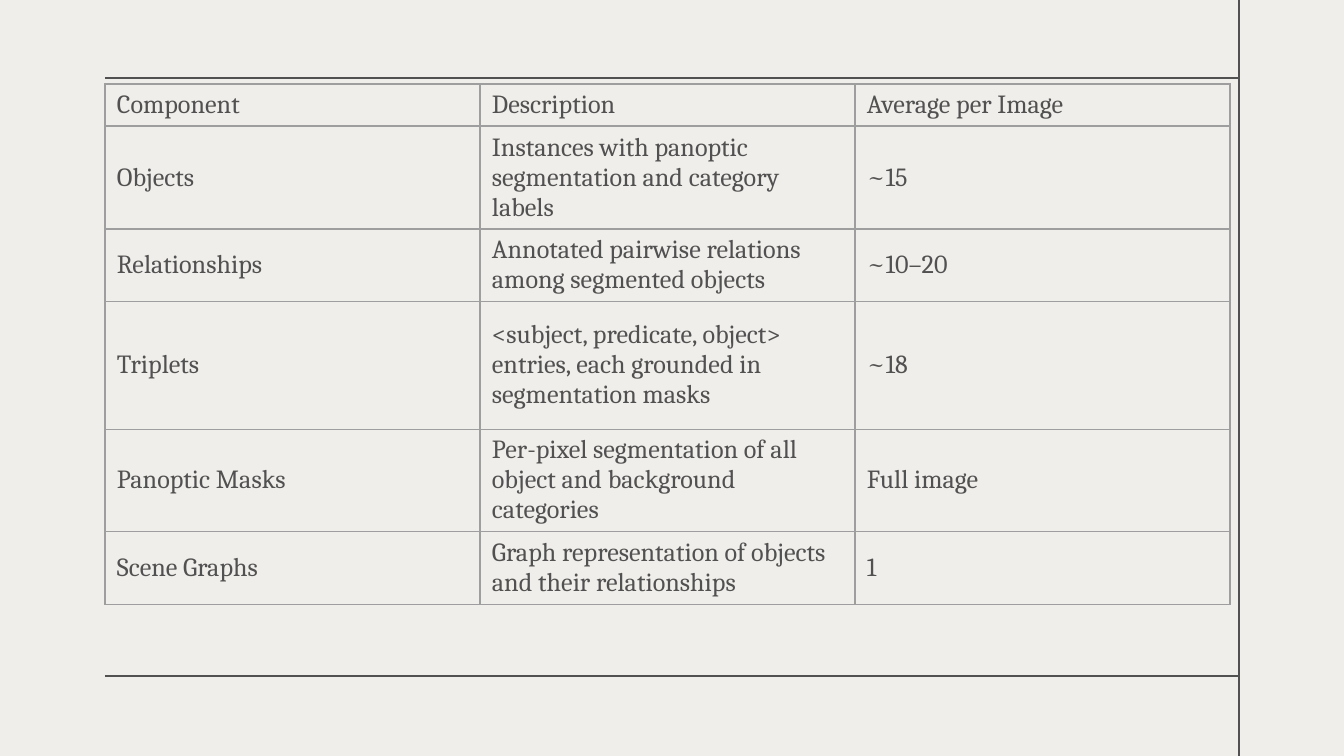
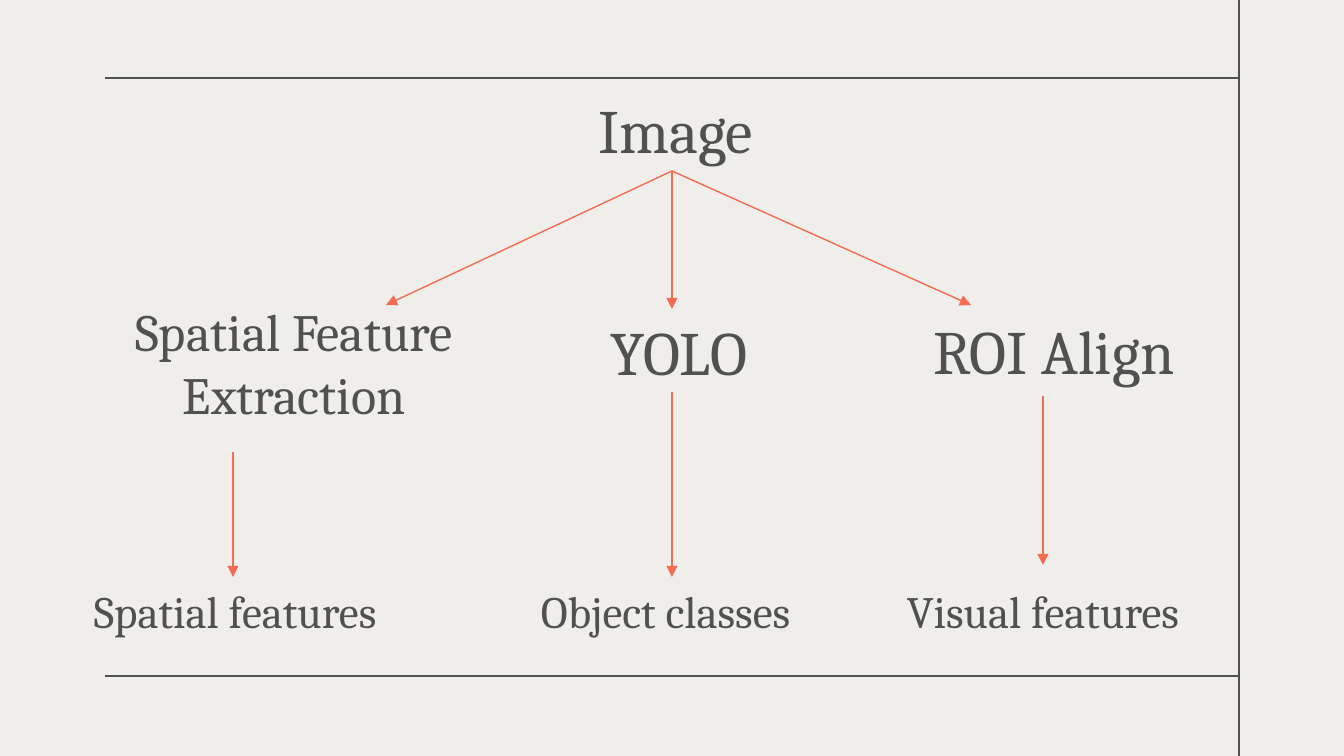
import pptx
import pptx.util
import pptx.dml.color
import pptx.enum.shapes
import pptx.enum.text
import pptx.oxml
import pptx.oxml.ns

PX = 6803.57  # EMU in one px
HUES = {"paper": "F0EEEA", "ink": "525151", "coral": "F46B52", "grid": "9E9E9E"}
FONT = "Cambria"
NS = pptx.oxml.ns.nsdecls("a")
MID = pptx.enum.text.MSO_ANCHOR.MIDDLE


def draw(slide, ends, hue, head=False):
    """Add a thin straight line, with an arrowhead at its end if asked."""
    line = slide.shapes.add_connector(
        pptx.enum.shapes.MSO_CONNECTOR.STRAIGHT, *[round(v * PX) for v in ends])
    line.line.width = pptx.util.Pt(0.75)
    line.line.color.rgb = pptx.dml.color.RGBColor.from_string(HUES[hue])
    if head:
        line.line._get_or_add_ln().append(
            pptx.oxml.parse_xml(f'<a:tailEnd {NS} type="triangle"/>'))
    line._element.spPr.append(pptx.oxml.parse_xml(f"<a:effectLst {NS}/>"))
    return line


def write(para, text, size):
    """Put text in a paragraph in the shared style."""
    para.text = text
    look = {"name": FONT, "size": pptx.util.Pt(size), "bold": False}
    for key, val in look.items():
        setattr(para.font, key, val)
    para.font.color.rgb = pptx.dml.color.RGBColor.from_string(HUES["ink"])


deck = pptx.Presentation()
deck.slide_width, deck.slide_height = round(1344 * PX), round(756 * PX)

# Shared background and frame lines
frame = [(105, 78, 1239, 78), (1239, -1, 1239, 757), (105, 676, 1239, 676)]
for _ in range(2):
    slide = deck.slides.add_slide(deck.slide_layouts[6])
    slide.background.fill.solid()
    slide.background.fill.fore_color.rgb = pptx.dml.color.RGBColor.from_string(HUES["paper"])
    for ends in frame:
        draw(slide, ends, "ink")
parts, flow = deck.slides

# Slide 1: table of dataset parts
rows = [
    (42, "Component", "Description", "Average per Image"),
    (103, "Objects", "Instances with panoptic segmentation and category labels", "~15"),
    (72, "Relationships", "Annotated pairwise relations among segmented objects", "~10–20"),
    (128, "Triplets",
     "<subject, predicate, object> entries, each grounded in segmentation masks", "~18"),
    (102, "Panoptic Masks",
     "Per-pixel segmentation of all object and background categories", "Full image"),
    (73, "Scene Graphs", "Graph representation of objects and their relationships", "1"),
]
high = sum(row[0] for row in rows)
table = parts.shapes.add_table(
    len(rows), 3, *[round(v * PX) for v in (105, 84, 1125, high)]).table
table.first_row = table.horz_banding = False
for col in table.columns:
    col.width = round(375 * PX)
pads = {"margin_left": 12, "margin_right": 12, "margin_top": 6, "margin_bottom": 6}
for r, (tall, *words) in enumerate(rows):
    table.rows[r].height = round(tall * PX)
    for c, text in enumerate(words):
        cell = table.cell(r, c)
        write(cell.text_frame.paragraphs[0], text, 14)
        cell.vertical_anchor = MID
        for key, val in pads.items():
            setattr(cell, key, round(val * PX))
        props = cell._tc.get_or_add_tcPr()
        for side in ("lnL", "lnR", "lnT", "lnB"):
            props.append(pptx.oxml.parse_xml(
                f'<a:{side} {NS} w="9525"><a:solidFill><a:srgbClr val="{HUES["grid"]}"/>'
                f"</a:solidFill></a:{side}>"))
        cell.fill.background()

# Slide 2: labels as text, size, text start, middle, top, height
PAD = 30
labels = [
    ("Image", 33, 598, 672, 86, 85),
    ("YOLO", 33, 611, 672, 309, 83),
    ("ROI Align", 33, 934, 1043, 303, 93),
    ("Spatial Feature\nExtraction", 28, 72, 294, 292, 140),
    ("Spatial features", 24, 94, 233, 577, 67),
    ("Object classes", 24, 541, 672, 577, 67),
    ("Visual features", 24, 907, 1043, 565, 90),
]
boxes = {}
for text, size, start, mid, top, tall in labels:
    left = start - PAD
    box = flow.shapes.add_textbox(
        *[round(v * PX) for v in (left, top, 2 * (mid - left), tall)])
    body = box.text_frame
    look = {"word_wrap": True, "vertical_anchor": MID, "margin_left": round(PAD * PX),
            "margin_right": 0, "margin_top": 0, "margin_bottom": 0}
    if "\n" in text:
        look["margin_right"] = look["margin_left"]
        body.paragraphs[0].alignment = pptx.enum.text.PP_ALIGN.CENTER
    for key, val in look.items():
        setattr(body, key, val)
    write(body.paragraphs[0], text, size)
    boxes[text] = box

# Arrows: ends, box joined at its bottom, box joined at its top
arrows = [
    ((672, 171, 672, 309), "Image", "YOLO"),
    ((672, 171, 386, 305), "Image", None),
    ((672, 171, 971, 305), "Image", None),
    ((672, 392, 672, 577), "YOLO", "Object classes"),
    ((233, 452, 233, 577), None, "Spatial features"),
    ((1043, 396, 1043, 565), "ROI Align", "Visual features"),
]
for ends, tail, head in arrows:
    arrow = draw(flow, ends, "coral", True)
    if tail:
        arrow.begin_connect(boxes[tail], 2)
    if head:
        arrow.end_connect(boxes[head], 0)

deck.save("out.pptx")
